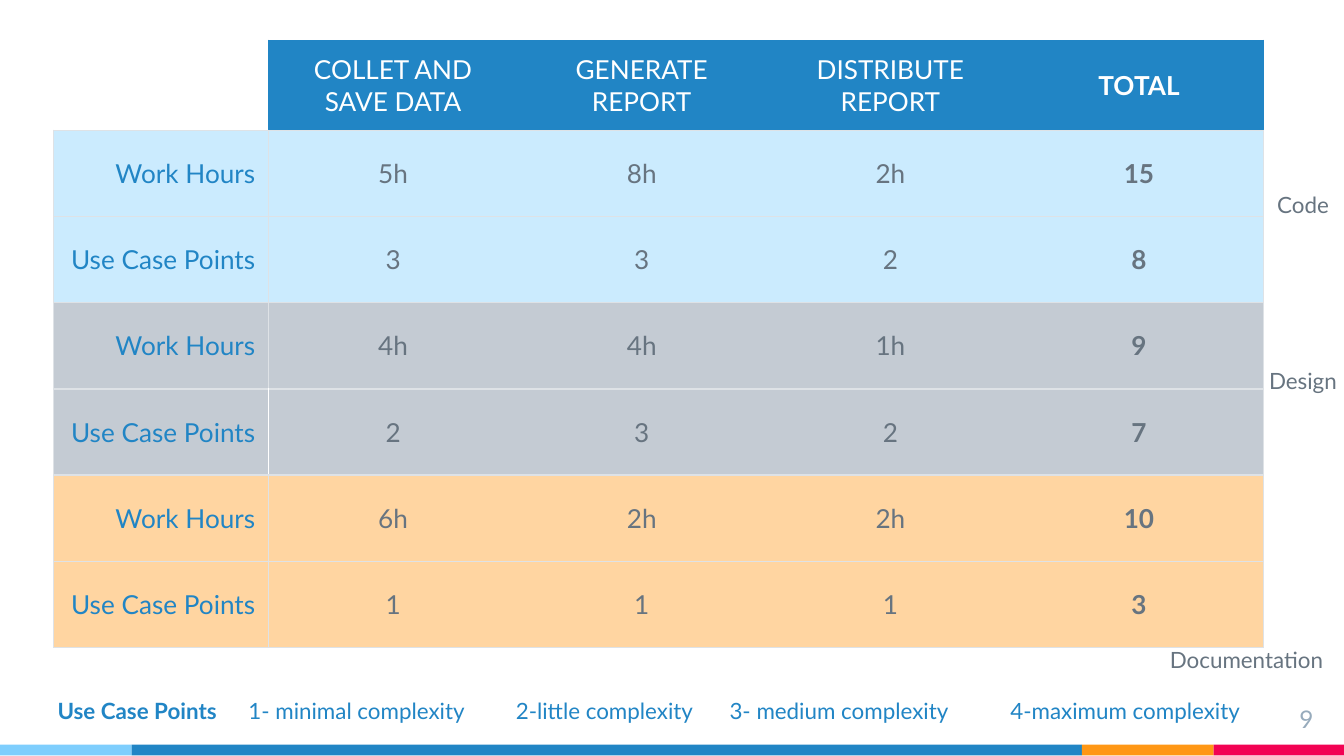
import pptx
import pptx.util
import pptx.dml.color
import pptx.enum.shapes
import pptx.enum.text
import pptx.oxml.ns
import lxml.etree

Inches = pptx.util.Inches
ALIGN = pptx.enum.text.PP_ALIGN
ANCHOR = pptx.enum.text.MSO_ANCHOR

FONT = "Lato"
COLORS = {
    "blue": "2185C5", "sky": "7ECEFD", "orange": "FF9715", "pink": "F20253",
    "text": "677480", "number": "97ABBC", "rule": "DEE2E6", "white": "FFFFFF",
    "code": "CBEBFE", "design": "C4CBD3", "documentation": "FFD5A1",
}
HEADERS = ["", "COLLET AND SAVE DATA", "GENERATE REPORT", "DISTRIBUTE REPORT", "TOTAL"]
GROUPS = {
    "code": [["Work Hours", "5h", "8h", "2h", "15"], ["Use Case Points", "3", "3", "2", "8"]],
    "design": [["Work Hours", "4h", "4h", "1h", "9"], ["Use Case Points", "2", "3", "2", "7"]],
    "documentation": [["Work Hours", "6h", "2h", "2h", "10"], ["Use Case Points", "1", "1", "1", "3"]],
}
LEVELS = ["1- minimal complexity", "2-little complexity",
          "3- medium complexity", "4-maximum complexity"]
LEVEL_TABS = [1.42, 3.41, 5.0, 7.09]


def rgb(name):
    return pptx.dml.color.RGBColor.from_string(COLORS[name])


def add_xml(parent, tag, **attributes):
    return lxml.etree.SubElement(parent, pptx.oxml.ns.qn(tag), attributes)


def write_text(para, text, color="text", size=12, bold=False, align=ALIGN.LEFT):
    para.alignment = align
    span = para.add_run()
    span.text = text
    span.font.name = FONT
    span.font.size = pptx.util.Pt(size)
    span.font.bold = bold
    span.font.color.rgb = rgb(color)


def add_text_box(page, left, top, width, height, wrap=True, inset=None):
    frame = page.shapes.add_textbox(
        Inches(left), Inches(top), Inches(width), Inches(height)).text_frame
    frame.word_wrap = wrap
    if inset is not None:
        frame.margin_left = frame.margin_right = Inches(inset)
        frame.margin_top = frame.margin_bottom = Inches(inset)
    return frame.paragraphs[0]


def set_borders(cell, borders):
    """Draw the named sides (L, R, T, B) and clear the others."""
    properties = cell._tc.get_or_add_tcPr()
    for side in "LRTB":
        line = add_xml(properties, "a:ln" + side, w=str(pptx.util.Pt(0.75)))
        if side in borders:
            fill = add_xml(line, "a:solidFill")
            add_xml(fill, "a:srgbClr", val=COLORS[borders[side]])
        else:
            add_xml(line, "a:noFill")


def cell_borders(row, column, last_column):
    borders = {"T": "rule", "B": "rule"}
    if row == 0:
        borders["T"] = "blue"
        if column == 0:
            del borders["T"]
            borders["R"] = "blue"
        elif column == 1:
            borders["L"] = "blue"
        elif column == last_column:
            borders["R"] = "blue"
        return borders
    divider = "white" if row == 4 else "rule"
    if column == 0:
        borders.update(L="rule", R=divider)
    elif column == 1:
        borders["L"] = divider
    elif column == last_column:
        borders["R"] = "rule"
    return borders


def add_effort_table(page, left, top, label_width=1.6, value_width=1.85,
                     header_height=0.67, body_height=3.85):
    rows = [("blue", HEADERS)]
    rows += [(fill, values) for fill, group in GROUPS.items() for values in group]
    last_column = len(HEADERS) - 1
    row_height = body_height / (len(rows) - 1)
    table = page.shapes.add_table(
        len(rows), len(HEADERS), Inches(left), Inches(top),
        Inches(label_width + last_column * value_width),
        Inches(header_height + body_height)).table
    table.first_row = table.horz_banding = False
    for column, grid_column in enumerate(table.columns):
        grid_column.width = Inches(value_width if column else label_width)

    for row, (fill, values) in enumerate(rows):
        table.rows[row].height = Inches(row_height if row else header_height)
        for column, value in enumerate(values):
            cell = table.cell(row, column)
            cell.vertical_anchor = ANCHOR.MIDDLE
            cell.margin_left = cell.margin_right = Inches(0.1)
            cell.margin_top = cell.margin_bottom = Inches(0.1)
            set_borders(cell, cell_borders(row, column, last_column))
            if not value:
                cell.fill.background()
                continue
            cell.fill.solid()
            cell.fill.fore_color.rgb = rgb(fill)
            color = "white" if row == 0 else "text" if column else "blue"
            write_text(cell.text_frame.paragraphs[0], value, color=color, size=14,
                       bold=column == last_column,
                       align=ALIGN.CENTER if column else ALIGN.RIGHT)


def add_group_label(page, text, left, top, width):
    para = add_text_box(page, left, top, width, 0.3, wrap=False)
    write_text(para, text, align=ALIGN.CENTER)


def add_legend(page, left, top, width, height):
    para = add_text_box(page, left, top, width, height)
    write_text(para, "Use Case Points", color="blue", bold=True)
    write_text(para, "".join("\t" + level for level in LEVELS), color="blue")
    tab_list = add_xml(para._p.get_or_add_pPr(), "a:tabLst")
    for position in LEVEL_TABS:
        add_xml(tab_list, "a:tab", pos=str(Inches(position)), algn="l")


def add_footer(page, left, top, height):
    for color, width in [("sky", 0.98), ("blue", 7.07), ("orange", 0.98), ("pink", 0.97)]:
        bar = page.shapes.add_shape(
            pptx.enum.shapes.MSO_SHAPE.RECTANGLE,
            Inches(left), Inches(top), Inches(width), Inches(height))
        bar.shadow.inherit = False
        bar.fill.solid()
        bar.fill.fore_color.rgb = rgb(color)
        bar.line.fill.background()
        left += width
    number = add_text_box(page, left - 0.73, top - 0.4, 0.6, 0.34, inset=0.1)
    write_text(number, "9", color="number", size=13, align=ALIGN.RIGHT)


# Widescreen page, 16:9
deck = pptx.Presentation()
deck.slide_width = Inches(10)
deck.slide_height = deck.slide_width * 9 // 16
page = deck.slides.add_slide(deck.slide_layouts[6])

# Colour bars and page number
add_footer(page, 0, 5.54, 0.08)

# Effort per task
add_effort_table(page, 0.4, 0.3)

# Complexity levels
add_legend(page, 0.33, 5.14, 9.16, 0.54)

# Names of the row groups
add_group_label(page, "Code", 9.4, 1.37, 0.59)
add_group_label(page, "Documentation", 8.6, 4.76, 1.35)
add_group_label(page, "Design", 9.34, 2.68, 0.71)

deck.save("out.pptx")
